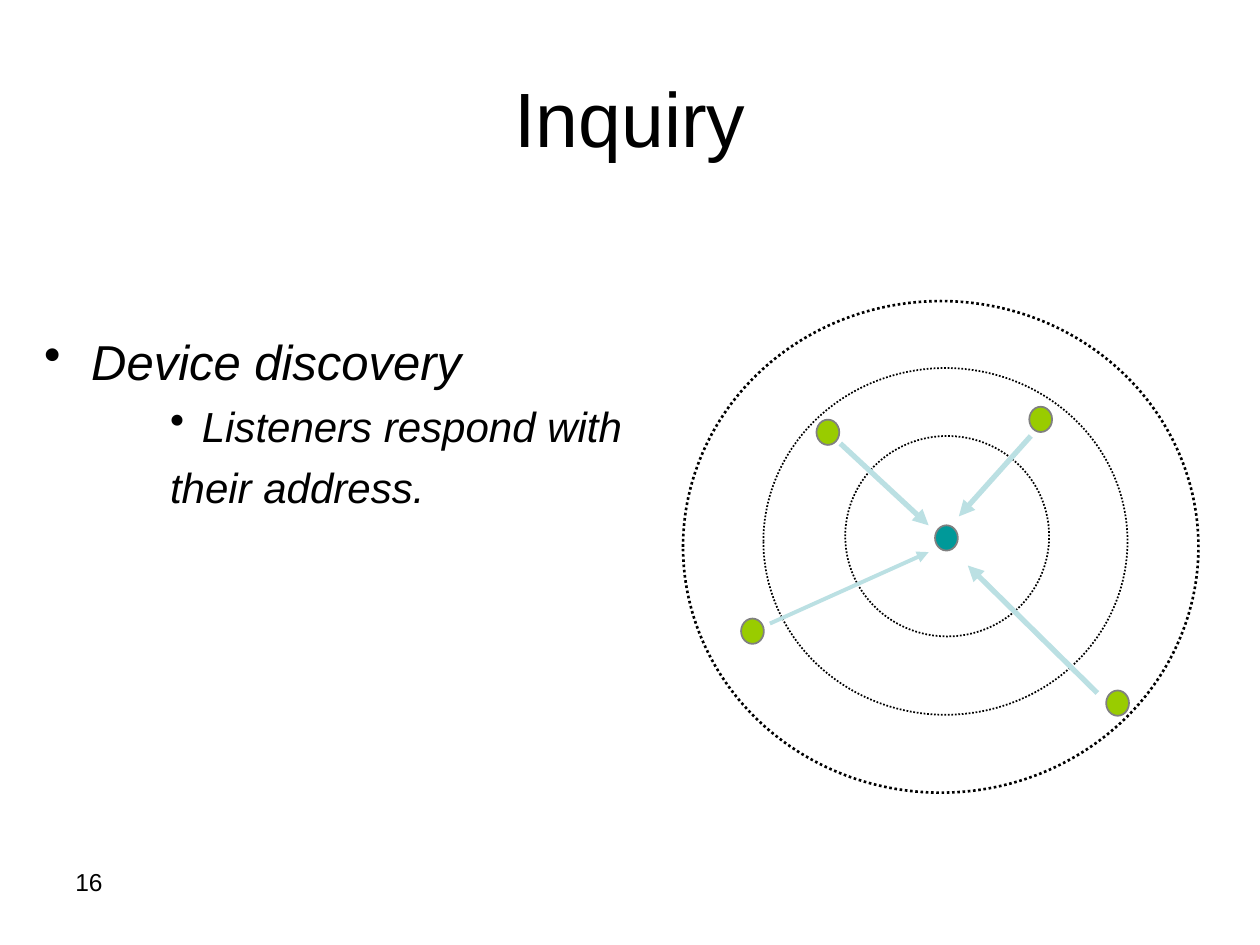
"""Build the Inquiry slide: listeners around a device answer with their address."""
from lxml import etree
from pptx import Presentation
from pptx import util as u
from pptx.dml.color import RGBColor
from pptx.enum import dml, shapes, text
from pptx.oxml.ns import qn

COLORS = {"text": "000000", "device": "009999", "listener": "99CC00",
          "outline": "808080", "arrow": "BBE0E3"}


def add_ellipse(left, top, width, height, line_color, line_width, fill=None):
    shape = slide.shapes.add_shape(shapes.MSO_SHAPE.OVAL, u.Cm(left), u.Cm(top), u.Cm(width), u.Cm(height))
    shape.shadow.inherit = False
    if fill:
        shape.fill.solid()
        shape.fill.fore_color.rgb = RGBColor.from_string(COLORS[fill])
    else:
        shape.fill.background()
    shape.line.color.rgb = RGBColor.from_string(COLORS[line_color])
    shape.line.width = u.Pt(line_width)
    return shape


def write(paragraph, wording, size, italic=False):
    paragraph.text = wording
    paragraph.font.name = "Arial"
    paragraph.font.size = u.Pt(size)
    paragraph.font.italic = italic
    paragraph.font.color.rgb = RGBColor.from_string(COLORS["text"])


presentation = Presentation()
presentation.slide_width, presentation.slide_height = u.Cm(25.4), u.Cm(19.05)
slide = presentation.slides.add_slide(presentation.slide_layouts[5])

title = slide.shapes.title
title.left, title.top, title.width, title.height = u.Cm(1.27), u.Cm(0.76), u.Cm(22.86), u.Cm(3.18)
title.text_frame.vertical_anchor = text.MSO_ANCHOR.MIDDLE
write(title.text_frame.paragraphs[0], "Inquiry", 44)
title.text_frame.paragraphs[0].alignment = text.PP_ALIGN.CENTER

number = slide.shapes.add_textbox(u.Cm(1.27), u.Cm(17.35), u.Cm(5.92), u.Cm(1.32))
number.text_frame.word_wrap = True
write(number.text_frame.paragraphs[0], "16", 14)

DOT_SIZE = (0.46, 0.51)
add_ellipse(18.85, 10.59, *DOT_SIZE, "outline", 1, "device")

for left, top, width, height, line_width in [
    (15.39, 7.42, 7.34, 6.99, 1),
    (17.04, 8.79, 4.11, 4.04, 1),
    (13.77, 6.07, 10.39, 9.91, 1.5),
]:
    ring = add_ellipse(left, top, width, height, "text", line_width)
    ring.line.dash_style = dml.MSO_LINE.ROUND_DOT

for start_x, start_y, end_x, end_y, line_width in [
    (15.52, 12.57, 18.72, 11.13, 2.25),
    (16.94, 8.94, 18.72, 10.59, 3),
    (20.78, 8.79, 19.33, 10.41, 3),
    (22.12, 13.97, 19.51, 11.4, 3),
]:
    arrow = slide.shapes.add_connector(
        shapes.MSO_CONNECTOR.STRAIGHT, u.Cm(start_x), u.Cm(start_y), u.Cm(end_x), u.Cm(end_y))
    arrow.line.color.rgb = RGBColor.from_string(COLORS["arrow"])
    arrow.line.width = u.Pt(line_width)
    etree.SubElement(arrow.line._get_or_add_ln(), qn("a:tailEnd"), type="triangle")
    etree.SubElement(arrow._element.spPr, qn("a:effectLst"))

for left, top in [(14.94, 12.47), (20.75, 8.2), (22.3, 13.92), (16.46, 8.46)]:
    add_ellipse(left, top, *DOT_SIZE, "outline", 1, "listener")

body = slide.shapes.add_textbox(u.Cm(0.64), u.Cm(6.55), u.Cm(12.52), u.Cm(4.45)).text_frame
body.word_wrap = True
for index, (wording, size, level, margin, hanging, space, bullet) in enumerate([
    ("Device discovery", 28, 0, 0.95, 0.95, 7, True),
    ("Listeners respond with", 24, 2, 3.18, 0.64, 6, True),
    ("their address.", 24, 2, 3.18, 0.64, 6, False),
]):
    paragraph = body.add_paragraph() if index else body.paragraphs[0]
    write(paragraph, wording, size, italic=True)
    paragraph.level = level
    paragraph.space_before = u.Pt(space)
    properties = paragraph._p.get_or_add_pPr()
    properties.set("marL", str(u.Cm(margin)))
    properties.set("indent", str(-u.Cm(hanging)))
    mark = etree.Element(qn("a:buChar"), char="•") if bullet else etree.Element(qn("a:buNone"))
    properties.find(qn("a:defRPr")).addprevious(mark)

presentation.save("out.pptx")
